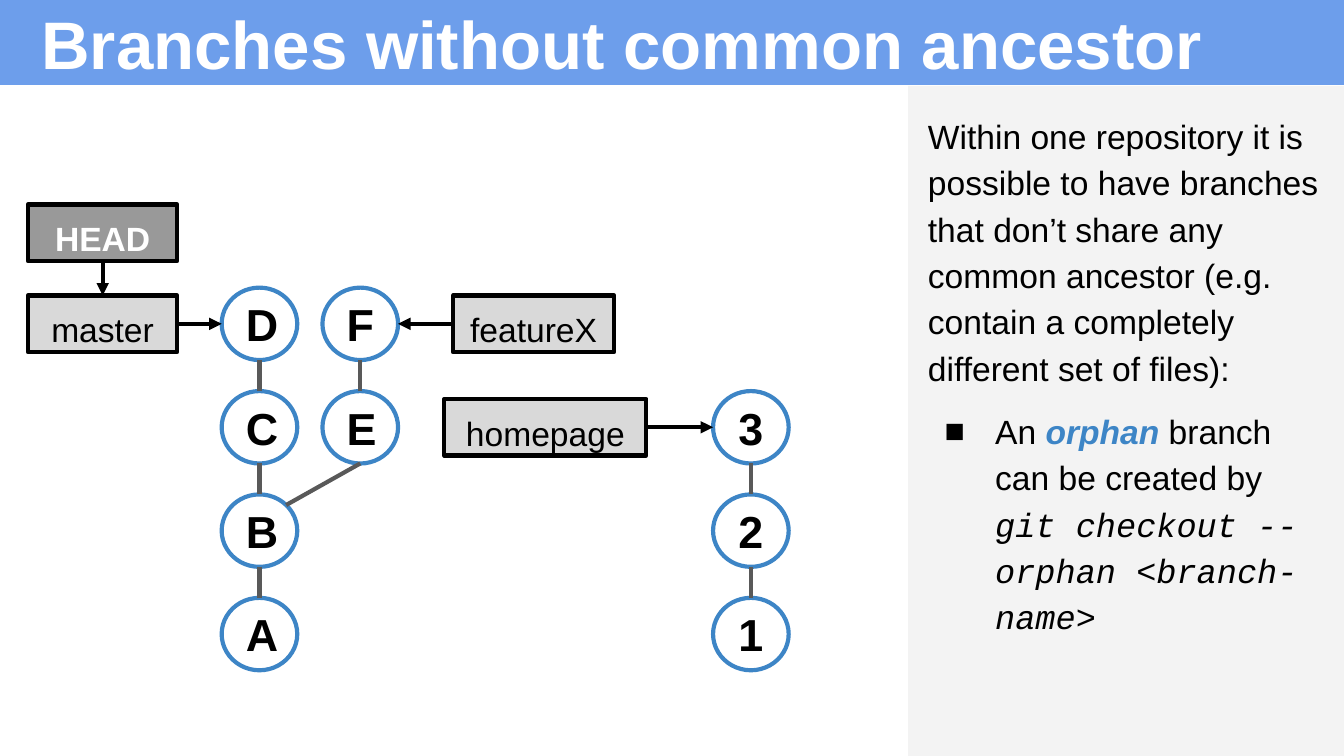
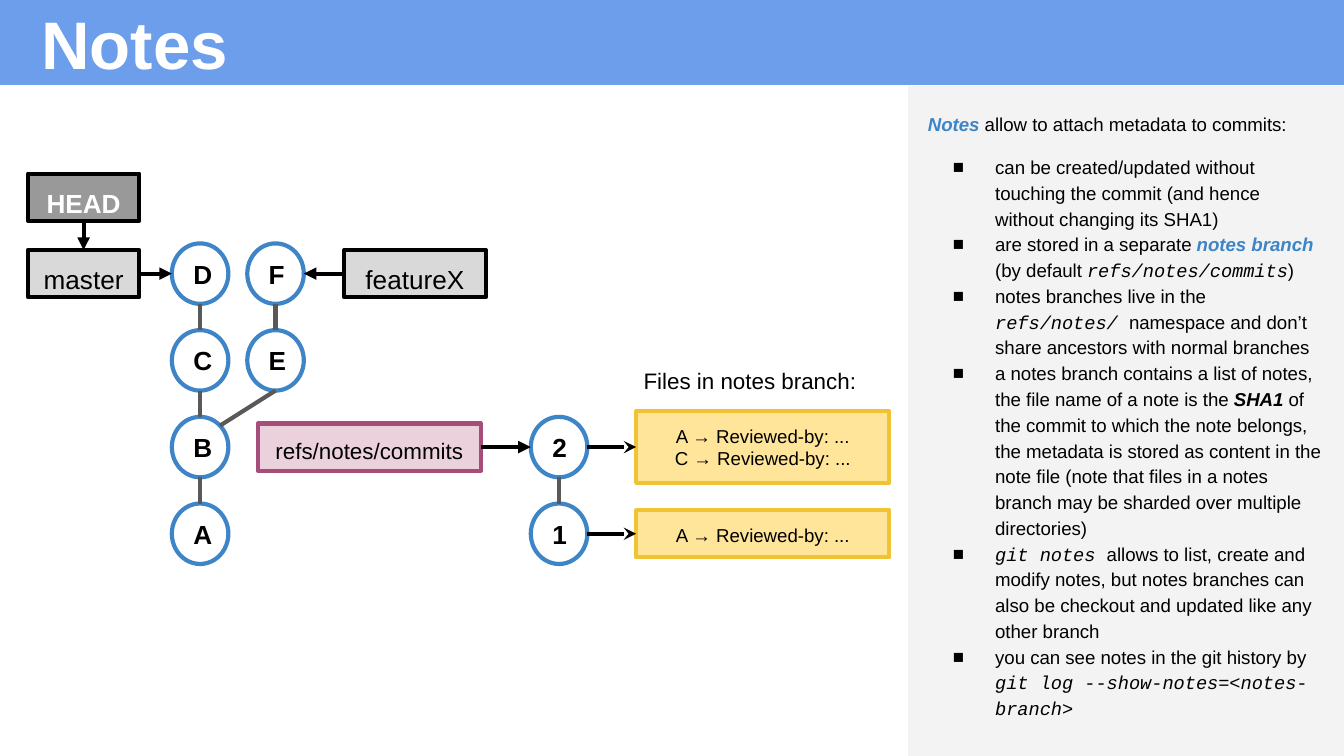
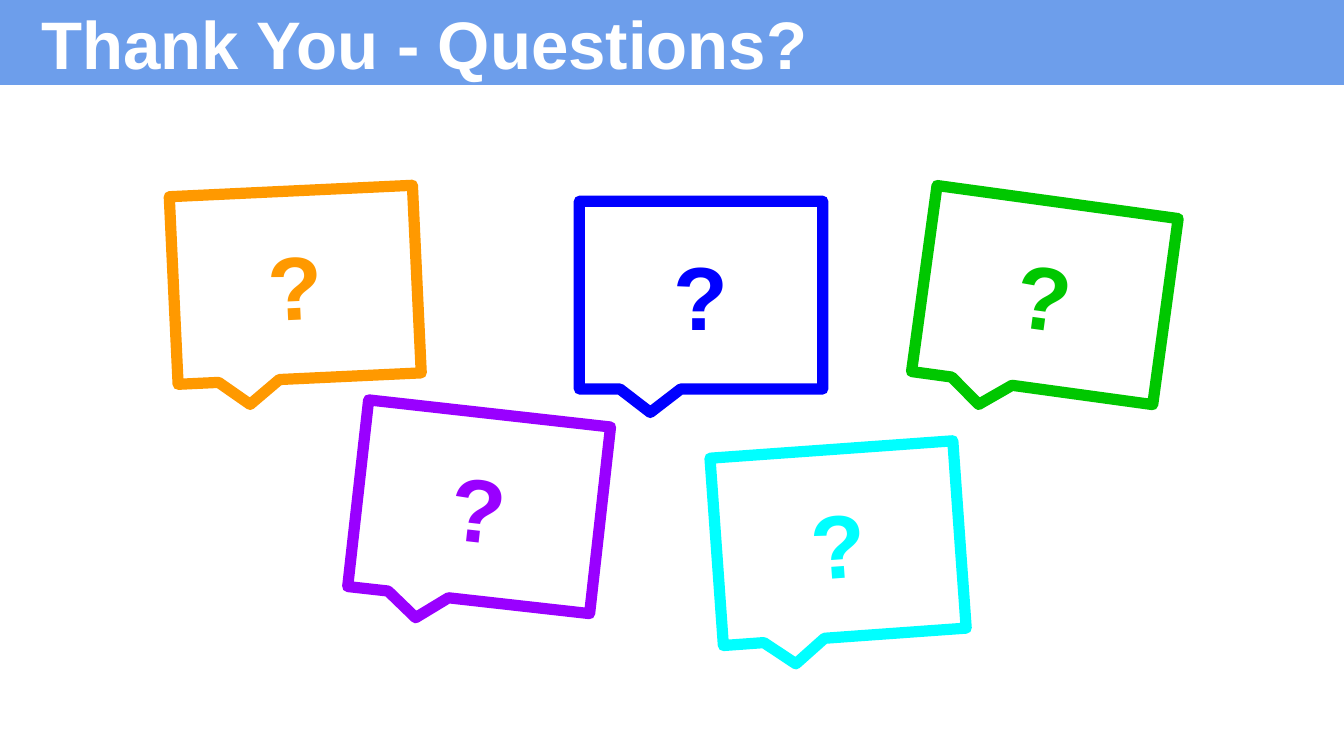
from dataclasses import dataclass
from math import sqrt

from lxml import etree
from pptx import Presentation
from pptx.dml.color import RGBColor
from pptx.enum import shapes, text
from pptx.oxml import ns
from pptx.util import Pt


@dataclass(frozen=True)
class Theme:
    sans: str = "Arial"
    mono: str = "Courier New"
    band: str = "6D9EEB"
    panel: str = "F3F3F3"
    accent: str = "3D85C6"
    link: str = "595959"
    ink: str = "000000"
    paper: str = "FFFFFF"
    title_size: int = 36
    question_size: int = 48
    line: float = 2.25
    thick_line: int = 6
    inset: float = 7.2


THEME = Theme()

# label style: fill, outline, text colour, bold
LABEL_STYLES = {
    "head": ("999999", THEME.ink, THEME.paper, True),
    "branch": ("D9D9D9", THEME.ink, THEME.ink, False),
    "notes": ("EAD1DC", "A64D79", THEME.ink, False),
    "file": ("FFE599", "F1C232", THEME.ink, False),
}

# text style: font, colour, bold, italic
TEXT_STYLES = {
    "plain": (THEME.sans, THEME.ink, False, False),
    "term": (THEME.sans, THEME.accent, True, True),
    "strong": (THEME.sans, THEME.ink, True, True),
    "code": (THEME.mono, THEME.ink, False, True),
}

# ---- Content: commits are (column, row), links are (child, parent)
SHARED_COMMITS = {"D": ("main", 0), "C": ("main", 1), "B": ("main", 2),
                  "A": ("main", 3), "F": ("feature", 0), "E": ("feature", 1)}
SHARED_LINKS = ["DC", "CB", "BA", "FE", "EB"]

# Labels are (text, style, left, width, height, row, size, commit);
# a file is pointed at by its commit, other labels point at theirs.
ORPHAN = {
    "title": "Branches without common ancestor",
    "columns": {"main": 139, "feature": 193, "orphan": 402.25},
    "top": 173.5, "step": 55.4, "commit": (40.5, 38.8), "commit_size": 24,
    "commits": {"3": ("orphan", 1), "2": ("orphan", 2), "1": ("orphan", 3)},
    "links": ["32", "21"],
    "head": ("HEAD", 15, 80, 30.3, 124.7, 18),
    "labels": [
        ("master", "branch", 15, 80, 30.3, 0, 18, "D"),
        ("featureX", "branch", 242.7, 86.4, 30.3, 0, 18, "F"),
        ("homepage", "branch", 238, 108.3, 30.3, 1, 18, "3"),
    ],
    "body_height": 337.7, "body_size": 18, "hanging": 27,
    "intro": [("Within one repository it is possible to have branches that don’t "
               "share any common ancestor (e.g. contain a completely different "
               "set of files):", "plain")],
    "points": [
        [("An ", "plain"), ("orphan", "term"),
         (" branch can be created by ", "plain"),
         ("git checkout --orphan <branch-name>", "code")],
    ],
}

NOTES = {
    "title": "Notes",
    "columns": {"main": 107.2, "feature": 147.6, "orphan": 299.5},
    "top": 146.6, "step": 46.45, "commit": (30.3, 32.4), "commit_size": 14,
    "commits": {"2": ("orphan", 2), "1": ("orphan", 3)},
    "links": ["21"],
    "head": ("HEAD", 15, 59.6, 25.3, 105.7, 14),
    "labels": [
        ("master", "branch", 15, 59.6, 25.3, 0, 14, "D"),
        ("featureX", "branch", 184.3, 76, 25.3, 0, 14, "F"),
        ("refs/notes/commits", "notes", 138.2, 119.5, 25.3, 2, 12, "2"),
        ("A → Reviewed-by: ...", "file", 340.8, 135.6, 25.3, 3, 10, "1"),
        ("A → Reviewed-by: ...\vC → Reviewed-by: ...", "file",
         340.8, 135.6, 38.5, 2, 10, "2"),
    ],
    "body_height": 346.3, "body_size": 10, "hanging": 22.7,
    "intro": [("Notes", "term"),
              (" allow to attach metadata to commits:", "plain")],
    "points": [
        [("can be created/updated without touching the commit (and hence "
          "without changing its SHA1)", "plain")],
        [("are stored in a separate ", "plain"), ("notes branch", "term"),
         (" (by default ", "plain"), ("refs/notes/commits", "code"),
         (")", "plain")],
        [("notes branches live in the ", "plain"), ("refs/notes/ ", "code"),
         ("namespace and don’t share ancestors with normal branches", "plain")],
        [("a notes branch contains a list of notes, the file name of a note is "
          "the ", "plain"), ("SHA1", "strong"),
         (" of the commit to which the note belongs, the metadata is stored as "
          "content in the note file (note that files in a notes branch may be "
          "sharded over multiple directories)", "plain")],
        [("git notes ", "code"),
         ("allows to list, create and modify notes, but notes branches can also "
          "be checkout and updated like any other branch", "plain")],
        [("you can see notes in the git history by ", "plain"),
         ("git log --show-notes=<notes-branch>", "code")],
    ],
}
FILES_CAPTION = ("Files in notes branch:", (337.7, 189.4, 141, 38), 12)

CLOSING_TITLE = "Thank You - Questions?"
CALLOUT_SIZE = (130.4, 100.6)
QUESTIONS = [  # left, top, rotation, colour
    (93, 102.3, 357.3, "FF9900"),
    (191.5, 221.2, 6.4, "9900FF"),
    (310.4, 107.8, 0, "0000FF"),
    (383.8, 240.7, 355.9, "00FFFF"),
    (494.6, 107.8, 7.8, "00C700"),
]


# ---- Drawing helpers
def rgb(value):
    return RGBColor.from_string(value)


def points(*values):
    return [Pt(value) for value in values]


def place(shape, box):
    shape.left, shape.top, shape.width, shape.height = points(*box)


def style_run(run, size, font, color, bold=False, italic=False):
    run.font.name, run.font.size = font, Pt(size)
    run.font.color.rgb = rgb(color)
    run.font.bold, run.font.italic = bold, italic


def set_frame(shape, anchor):
    frame = shape.text_frame
    frame.word_wrap, frame.auto_size = True, text.MSO_AUTO_SIZE.NONE
    frame.vertical_anchor = anchor
    frame.margin_left = frame.margin_right = Pt(THEME.inset)
    frame.margin_top = frame.margin_bottom = Pt(THEME.inset)
    return frame


def write(shape, words, size, color, bold=False,
          align=text.PP_ALIGN.CENTER, anchor=text.MSO_ANCHOR.TOP):
    frame = set_frame(shape, anchor)
    paragraph = frame.paragraphs[0]
    paragraph.text, paragraph.alignment = words, align
    for run in paragraph.runs:
        style_run(run, size, THEME.sans, color, bold)


def add_shape(slide, kind, box, fill=None, outline=None, width=THEME.line):
    shape = slide.shapes.add_shape(kind, *points(*box))
    shape.shadow.inherit = False
    if fill:
        shape.fill.solid()
        shape.fill.fore_color.rgb = rgb(fill)
    else:
        shape.fill.background()
    if outline:
        shape.line.color.rgb, shape.line.width = rgb(outline), Pt(width)
    else:
        shape.line.fill.background()
    return shape


def add_line(slide, start, end, color, head=None):
    line = slide.shapes.add_connector(
        shapes.MSO_CONNECTOR.STRAIGHT, *points(*start, *end))
    line.line.color.rgb, line.line.width = rgb(color), Pt(THEME.line)
    if head:
        etree.SubElement(line.line._get_or_add_ln(), ns.qn("a:tailEnd"), type=head)
    etree.SubElement(line._element.spPr, ns.qn("a:effectLst"))


def send_to_back(slide, shape):
    slide.shapes._spTree.insert(2, shape._element)


# ---- Parts shared by the slides
def add_titled_slide(deck, layout, title, title_width=659):
    slide = deck.slides.add_slide(deck.slide_layouts[layout])
    place(slide.shapes.title, (15, -7.3, title_width, 60))
    write(slide.shapes.title, title, THEME.title_size, THEME.paper, True,
          text.PP_ALIGN.LEFT, text.MSO_ANCHOR.MIDDLE)
    band = add_shape(slide, shapes.MSO_SHAPE.RECTANGLE, (0, 0, 720.5, 45.5),
                     THEME.band)
    send_to_back(slide, band)
    return slide


def add_bullet(paragraph, hanging):
    props = paragraph._p.get_or_add_pPr()
    props.set("marL", str(Pt(36)))
    props.set("indent", str(-Pt(hanging)))
    color = etree.SubElement(props, ns.qn("a:buClr"))
    etree.SubElement(color, ns.qn("a:srgbClr"), val=THEME.ink)
    etree.SubElement(props, ns.qn("a:buFont"), typeface=THEME.sans)
    etree.SubElement(props, ns.qn("a:buChar"), char="■")


def add_explanation(slide, topic):
    panel = add_shape(slide, shapes.MSO_SHAPE.RECTANGLE,
                      (486.5, 46, 234, 359), THEME.panel)
    send_to_back(slide, panel)
    body = slide.placeholders[1]
    place(body, (489.9, 51.7, 226, topic["body_height"]))
    frame = set_frame(body, text.MSO_ANCHOR.TOP)
    for index, pieces in enumerate([topic["intro"], *topic["points"]]):
        paragraph = frame.add_paragraph() if index else frame.paragraphs[0]
        paragraph.line_spacing = 1.15
        paragraph.space_before = Pt(9 if index < 2 else 0)
        paragraph.space_after = Pt(0)
        if index:
            add_bullet(paragraph, topic["hanging"])
        else:
            props = paragraph._p.get_or_add_pPr()
            props.set("marL", "0")
            props.set("indent", "0")
            etree.SubElement(props, ns.qn("a:buNone"))
        for words, style in pieces:
            run = paragraph.add_run()
            run.text = words
            style_run(run, topic["body_size"], *TEXT_STYLES[style])


# ---- Commit graph
def add_label(slide, words, style, left, width, height, middle, size):
    fill, outline, color, bold = LABEL_STYLES[style]
    label = add_shape(slide, shapes.MSO_SHAPE.RECTANGLE,
                      (left, middle - height / 2, width, height), fill, outline)
    write(label, words, size, color, bold)


def add_graph(slide, topic):
    width, height = topic["commit"]
    centers = {name: (topic["columns"][column], topic["top"] + row * topic["step"])
               for name, (column, row)
               in {**SHARED_COMMITS, **topic["commits"]}.items()}

    for name, (x, y) in centers.items():
        commit = add_shape(slide, shapes.MSO_SHAPE.OVAL,
                           (x - width / 2, y - height / 2, width, height),
                           outline=THEME.accent)
        write(commit, name, topic["commit_size"], THEME.ink, True,
              anchor=text.MSO_ANCHOR.MIDDLE)

    for child, parent in SHARED_LINKS + topic["links"]:
        (x, y), (parent_x, parent_y) = centers[child], centers[parent]
        # A link across columns meets its parent at 45 degrees
        if x == parent_x:
            end = (parent_x, parent_y - height / 2)
        else:
            end = (parent_x + width / sqrt(8), parent_y - height / sqrt(8))
        add_line(slide, (x, y + height / 2), end, THEME.link)

    for words, style, left, wide, high, row, size, target in topic["labels"]:
        x, y = centers[target]
        add_label(slide, words, style, left, wide, high,
                  topic["top"] + row * topic["step"], size)
        if left < x:
            near, edge = left + wide, x - width / 2
        else:
            near, edge = left, x + width / 2
        if style == "file":
            add_line(slide, (edge, y), (near, y), THEME.ink, "stealth")
        else:
            add_line(slide, (near, y), (edge, y), THEME.ink, "triangle")

    # HEAD stands above the first label and points down at it
    words, left, wide, high, middle, size = topic["head"]
    add_label(slide, words, "head", left, wide, high, middle, size)
    x = left + wide / 2
    add_line(slide, (x, middle + high / 2), (x, topic["top"] - high / 2),
             THEME.ink, "triangle")


# ---- Slides
def add_topic(deck, topic):
    slide = add_titled_slide(deck, 1, topic["title"])
    add_explanation(slide, topic)
    add_graph(slide, topic)
    return slide


def add_closing(deck):
    slide = add_titled_slide(deck, 5, CLOSING_TITLE, 595.5)
    for left, top, rotation, color in QUESTIONS:
        question = add_shape(slide, shapes.MSO_SHAPE.ROUNDED_RECTANGULAR_CALLOUT,
                             (left, top, *CALLOUT_SIZE), outline=color,
                             width=THEME.thick_line)
        question.adjustments[2] = 0
        question.rotation = rotation
        etree.SubElement(question.line._get_or_add_ln(), ns.qn("a:round"))
        write(question, "?", THEME.question_size, color, True,
              anchor=text.MSO_ANCHOR.MIDDLE)


def main():
    deck = Presentation()
    deck.slide_width, deck.slide_height = points(720, 405)
    add_topic(deck, ORPHAN)
    notes = add_topic(deck, NOTES)
    words, box, size = FILES_CAPTION
    caption = notes.shapes.add_textbox(*points(*box))
    write(caption, words, size, THEME.ink, align=text.PP_ALIGN.LEFT)
    add_closing(deck)
    deck.save("out.pptx")


if __name__ == "__main__":
    main()
